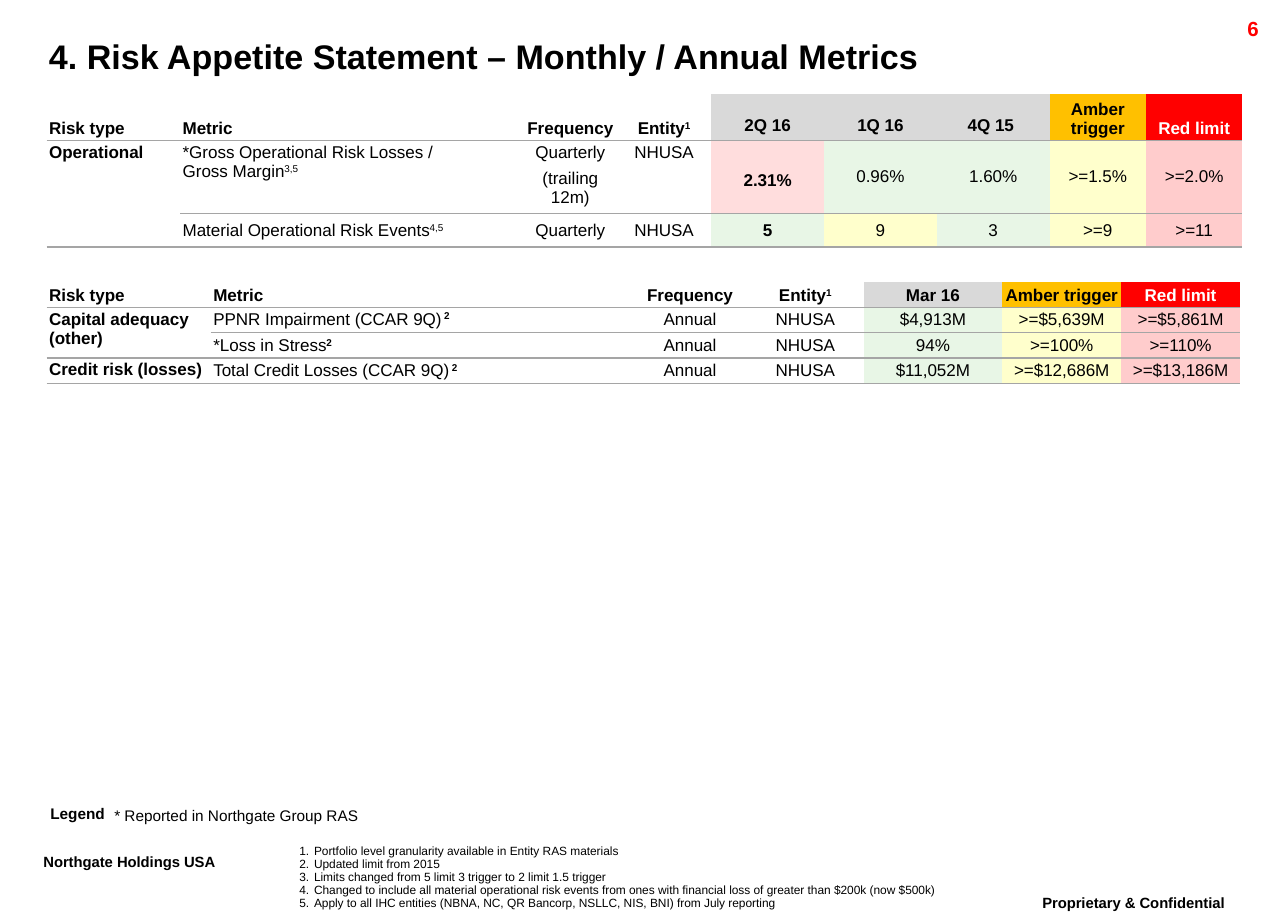
from lxml.etree import SubElement
from pptx import Presentation
from pptx.dml.color import RGBColor
from pptx.enum.text import MSO_ANCHOR as Anchor, PP_ALIGN as Align
from pptx.oxml.ns import qn
from pptx.util import Pt

BLACK, WHITE, RULE = "000000", "FFFFFF", "A5A5A5"
GREY, AMBER, RED = "D9D9D9", "FFC000", "FF0000"
GREEN, YELLOW, PINK, ROSE = "E8F6E6", "FFFFCC", "FFCCCC", "FFDDDD"

QUARTERLY_ROWS = [
    ["Risk type", "Metric", "Frequency", "Entity^1", "2Q 16", "1Q 16", "4Q 15 ", "Amber trigger", "Red limit"],
    ["Operational", "*Gross Operational Risk Losses /\vGross Margin^3,5", "Quarterly\n(trailing 12m)",
     "NHUSA", "2.31%", "0.96%", "1.60%", ">=1.5%", ">=2.0%"],
    ["", "Material Operational Risk Events^4,5", "Quarterly", "NHUSA", "5", "9", "3", ">=9", ">=11"],
]
QUARTERLY_FILLS = [
    [GREY, GREY, GREY, AMBER, RED],
    [ROSE, GREEN, GREEN, YELLOW, PINK],
    [GREEN, YELLOW, GREEN, YELLOW, PINK],
]
ANNUAL_ROWS = [
    ["Risk type", "Metric", "Frequency", "Entity^1", "Mar 16", "Amber trigger", "Red limit"],
    ["Capital adequacy (other)", "PPNR Impairment (CCAR 9Q)^ 2", "Annual", "NHUSA",
     "$4,913M", ">=$5,639M", ">=$5,861M"],
    ["", "*Loss in Stress^2", "Annual", "NHUSA", "94%", ">=100%", ">=110%"],
    ["Credit risk (losses)", "Total Credit Losses (CCAR 9Q)^ 2", "Annual", "NHUSA",
     "$11,052M", ">=$12,686M", ">=$13,186M"],
]
ANNUAL_FILLS = [[GREY, AMBER, RED]] + [[GREEN, YELLOW, PINK]] * 3
FOOTNOTES = [
    "Portfolio level granularity available in Entity RAS materials",
    "Updated limit from 2015",
    "Limits changed from 5 limit 3 trigger to 2 limit 1.5 trigger",
    "Changed to include all material operational risk events from ones with "
    "financial loss of greater than $200k (now $500k)",
    "Apply to all IHC entities (NBNA, NC, QR Bancorp, NSLLC, NIS, BNI) from July reporting",
]


def rgb(value):
    return RGBColor.from_string(value)


def write(frame, text, size=10, color=BLACK, bold=False, raised_bold=None,
          align=Align.LEFT, spacing=None, gap=0):
    for number, line in enumerate(text.split("\n")):
        paragraph = frame.paragraphs[0] if number == 0 else frame.add_paragraph()
        paragraph.alignment = align
        paragraph.space_before = paragraph.space_after = Pt(gap)
        if spacing:
            paragraph.line_spacing = spacing
        for position, part in enumerate(line.split("^")):
            raised = position % 2 == 1
            for piece_number, piece in enumerate(part.split("\v")):
                if piece_number:
                    paragraph.add_line_break()
                if not piece:
                    continue
                run = paragraph.add_run()
                run.text = piece
                font = run.font
                font.name, font.size = "Arial", Pt(size)
                font.bold = raised_bold if raised and raised_bold is not None else bold
                font.color.rgb = rgb(color)
                if raised:
                    font._element.set("baseline", "30000")


def set_margins(target, sides, ends):
    target.margin_left = target.margin_right = Pt(sides)
    target.margin_top = target.margin_bottom = Pt(ends)


def add_text(slide, left, top, width, height, text, sides=7.2, ends=3.6,
             wrap=True, spacing=0.86, **style):
    frame = slide.shapes.add_textbox(Pt(left), Pt(top), Pt(width), Pt(height)).text_frame
    frame.word_wrap = wrap
    set_margins(frame, sides, ends)
    write(frame, text, spacing=spacing, **style)
    return frame


def number_lines(frame, indent):
    for paragraph in frame.paragraphs:
        properties = paragraph._p.get_or_add_pPr()
        properties.set("marL", str(Pt(indent)))
        properties.set("indent", str(-Pt(indent)))
        SubElement(properties, qn("a:buFont"), typeface="+mj-lt")
        SubElement(properties, qn("a:buAutoNum"), type="arabicPeriod")


def rule_cell(cell, top, bottom):
    properties = cell._tc.get_or_add_tcPr()
    for side, ruled in (("L", False), ("R", False), ("T", top), ("B", bottom)):
        line = SubElement(properties, qn("a:ln" + side), w=str(Pt(1)))
        if ruled:
            fill = SubElement(line, qn("a:solidFill"))
            SubElement(fill, qn("a:srgbClr"), val=RULE)
        else:
            SubElement(line, qn("a:noFill"))


def add_metrics(slide, top, widths, heights, rows, fills, special):
    metrics = slide.shapes.add_table(len(rows), len(widths), Pt(27.4), Pt(top),
                                     Pt(sum(widths)), Pt(sum(heights))).table
    metrics.first_row = metrics.horz_banding = False
    for column, width in zip(metrics.columns, widths):
        column.width = Pt(width)
    for row, height in zip(metrics.rows, heights):
        row.height = Pt(height)
    first_fill = len(widths) - len(fills[0])
    for r, texts in enumerate(rows):
        for c, text in enumerate(texts):
            cell = metrics.cell(r, c)
            style = {"bold": r == 0 or c == 0, "gap": 2,
                     "align": Align.LEFT if c < 2 else Align.CENTER,
                     "color": WHITE if text == "Red limit" else BLACK}
            style.update(special.get((r, c), {}))
            margin = style.pop("margin", 1.44)
            middle = r > 0 and (c >= first_fill or (r > 1 and c > 0))
            default = Anchor.BOTTOM if r == 0 else Anchor.MIDDLE if middle else Anchor.TOP
            cell.vertical_anchor = style.pop("anchor", default)
            set_margins(cell, margin, margin)
            rule_cell(cell, r > 0 and not (c == 0 and r == 2), True)
            if c >= first_fill:
                cell.fill.solid()
                cell.fill.fore_color.rgb = rgb(fills[r][c - first_fill])
            else:
                cell.fill.background()
            write(cell.text_frame, text, **style)
    metrics.cell(1, 0).merge(metrics.cell(2, 0))


def main():
    deck = Presentation()
    deck.slide_width, deck.slide_height = Pt(756), Pt(540)
    slide = deck.slides.add_slide(deck.slide_layouts[6])

    add_text(slide, 21.6, 20.9, 707, 28, "4. Risk Appetite Statement – Monthly / Annual Metrics",
             size=20, bold=True)
    add_text(slide, 673.9, 7.9, 72, 17.3, "6", size=12, color=RED, bold=True, align=Align.RIGHT)

    quarter_heads = {(0, c): {"margin": 3.6, "gap": 0, "spacing": 0.86} for c in (4, 5, 6)}
    add_metrics(slide, 55.2, [78.4, 201.6, 54.7, 55.4, 66.2, 66.2, 66.2, 56.6, 56.6],
                [27.3, 42.5, 19.7], QUARTERLY_ROWS, QUARTERLY_FILLS,
                {**quarter_heads, (2, 4): {"bold": True},
                 (1, 4): {"bold": True, "spacing": 2.5, "anchor": Anchor.TOP}})
    add_metrics(slide, 165.5, [96.4, 247.7, 67, 68.4, 81.4, 69.8, 69.8], [14.9] * 4,
                ANNUAL_ROWS, ANNUAL_FILLS, {(r, 1): {"raised_bold": True} for r in (1, 2, 3)})

    add_text(slide, 29.5, 473.8, 46.8, 9.4, "Legend", sides=0, ends=0, size=9, bold=True)
    add_text(slide, 65.5, 474.5, 146.2, 9.4, "* Reported in Northgate Group RAS",
             sides=0, ends=0, size=9, align=Align.CENTER)
    footnotes = add_text(slide, 175.7, 496, 417.6, 38, "\n".join(FOOTNOTES),
                         sides=0, ends=0, size=7, spacing=0.91)
    number_lines(footnotes, 8.64)
    add_text(slide, 18.4, 497.5, 137.5, 25.2, "^Northgate Holdings USA", wrap=False,
             size=15, bold=True)
    add_text(slide, 586.8, 522, 157, 18, "^Proprietary & Confidential",
             size=15, bold=True, align=Align.CENTER)
    deck.save("out.pptx")


if __name__ == "__main__":
    main()
